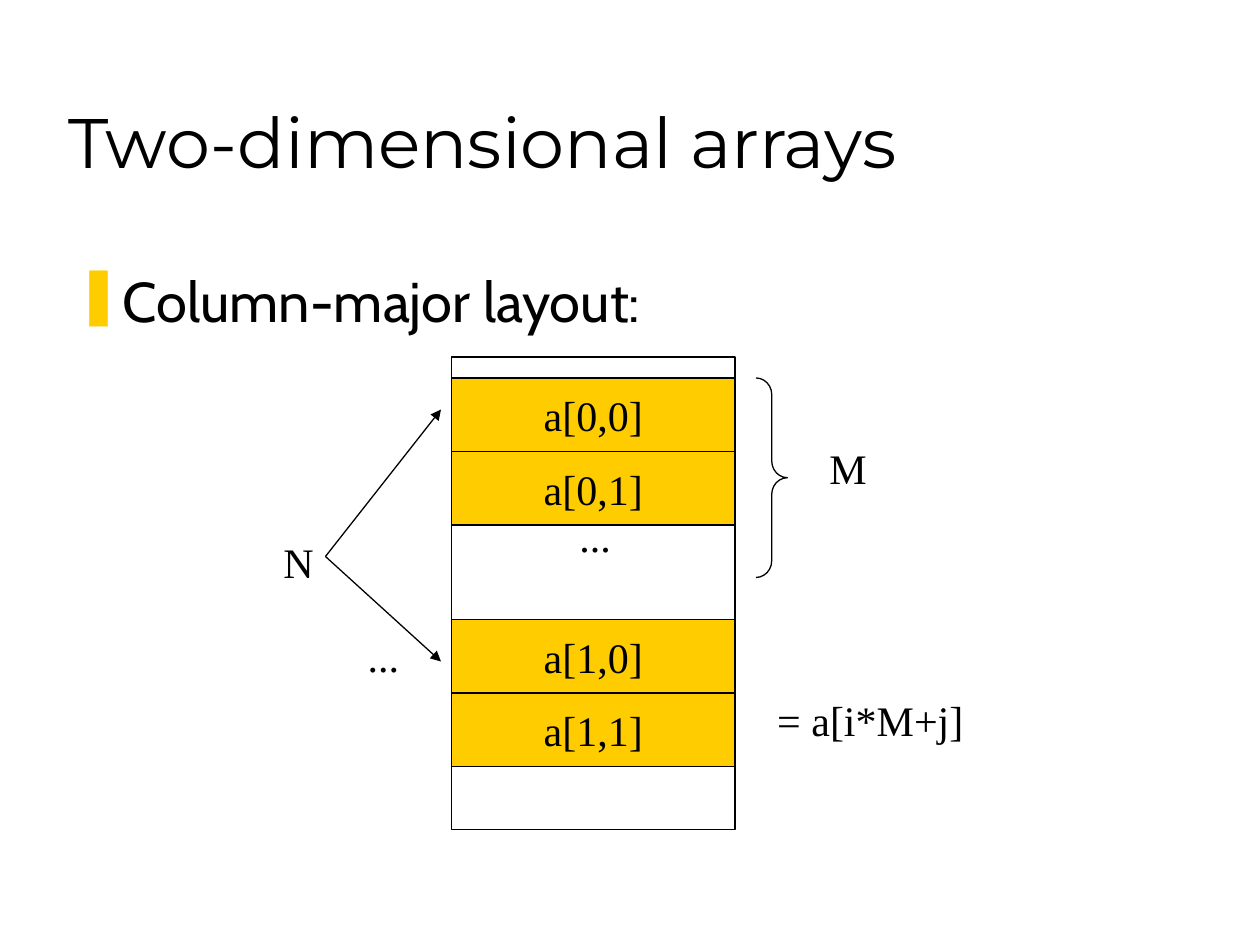
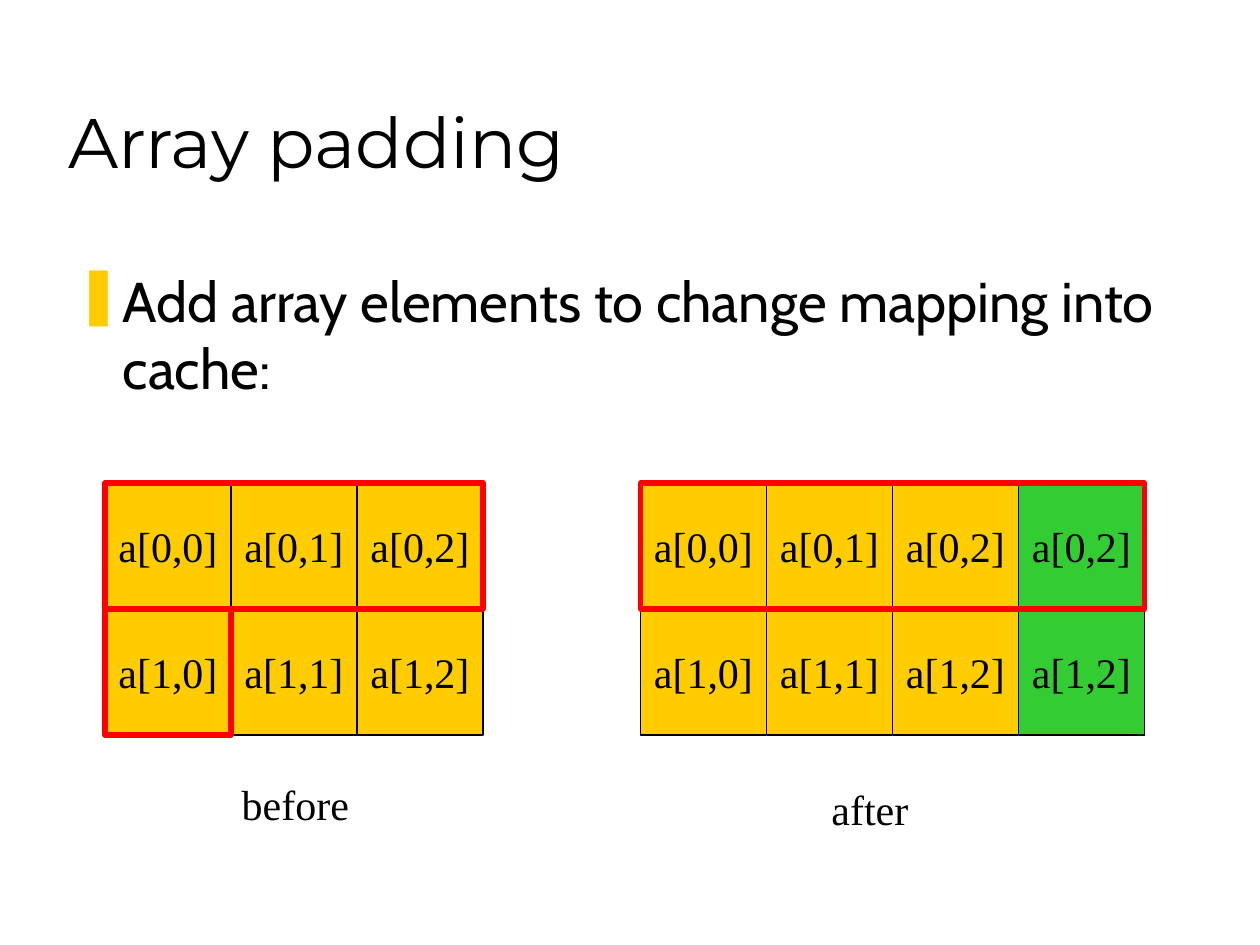
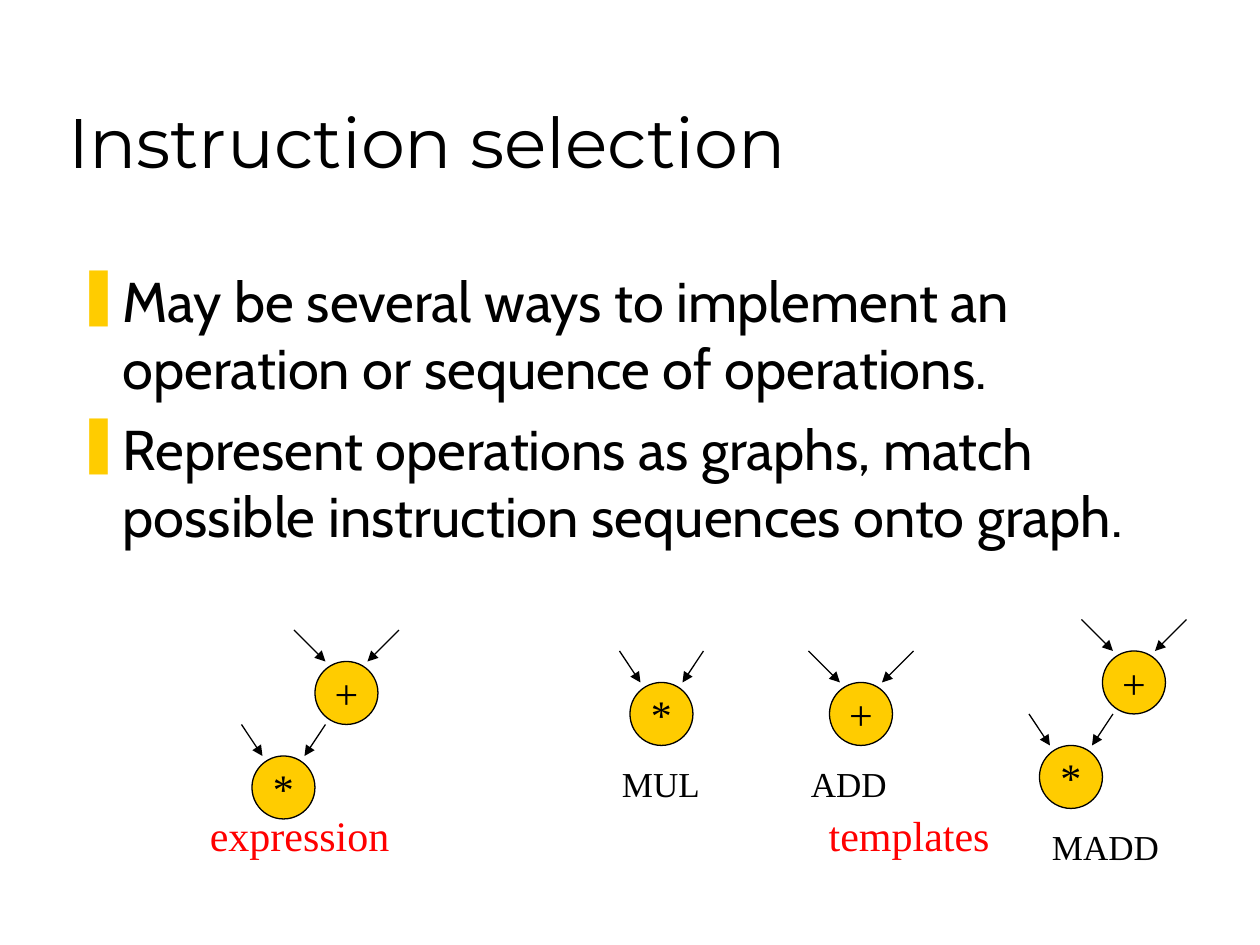
from lxml import etree
from pptx import Presentation
from pptx.dml.color import RGBColor
from pptx.enum.shapes import MSO_CONNECTOR, MSO_SHAPE
from pptx.enum.text import MSO_ANCHOR, MSO_AUTO_SIZE, PP_ALIGN
from pptx.oxml.ns import qn
from pptx.util import Inches, Pt

# Shared style; every length is in grid units of 1/12 inch (120 x 90 per slide)
UNIT = Inches(1) / 12
BLACK, RED, GOLD, GREEN = "000000", "FF0000", "FFCC00", "33CC33"
SERIF = "Times New Roman"


def add_box(s, x, y, w, h, text="", kind=None, fill=None, line=BLACK, weight=0.75,
            size=24, font=SERIF, color=BLACK):
    """Add a preset shape, or a text box when no kind is given."""
    at = [round(v * UNIT) for v in (x, y, w, h)]
    if kind is None:
        sp = s.shapes.add_textbox(*at)
        sp.text_frame.auto_size = MSO_AUTO_SIZE.SHAPE_TO_FIT_TEXT
    else:
        sp = s.shapes.add_shape(kind, *at)
        sp.shadow.inherit = False
        sp.line.color.rgb = RGBColor.from_string(line)
        sp.line.width = Pt(weight)
        if fill:
            sp.fill.solid()
            sp.fill.fore_color.rgb = RGBColor.from_string(fill)
        else:
            sp.fill.background()
    tf = sp.text_frame
    tf.word_wrap = False
    if text:
        tf.text = text
        for p in tf.paragraphs:
            if kind is not None:
                p.alignment = PP_ALIGN.CENTER
            p.font.size, p.font.name = Pt(size), font
            p.font.color.rgb = RGBColor.from_string(color)
    return sp


def add_arrow(s, x1, y1, x2, y2):
    ends = [round(v * UNIT) for v in (x1, y1, x2, y2)]
    cn = s.shapes.add_connector(MSO_CONNECTOR.STRAIGHT, *ends)
    cn.line.color.rgb = RGBColor.from_string(BLACK)
    cn.line.width = Pt(0.75)
    etree.SubElement(cn.line._get_or_add_ln(), qn("a:tailEnd"), type="triangle")
    etree.SubElement(cn._element.spPr, qn("a:effectLst"))


prs = Presentation()
prs.slide_width, prs.slide_height = Inches(10), Inches(7.5)

# Titles and bullets of all slides
contents = [
    ("Two-dimensional arrays", 10.25, ["Column-major layout:"]),
    ("Array padding", 15.25, ["Add array elements to change mapping into cache:"]),
    ("Instruction selection", 35.25, [
        "May be several ways to implement an operation or sequence of operations.",
        "Represent operations as graphs, match possible instruction sequences onto graph."]),
]
slides = []
for title, body_height, bullets in contents:
    s = prs.slides.add_slide(prs.slide_layouts[6])
    slides.append(s)
    heading = add_box(s, 5.3, 3, 102, 15, title, size=40, font="Montserrat")
    heading.text_frame.vertical_anchor = MSO_ANCHOR.BOTTOM
    body = add_box(s, 6, 24.75, 107.25, body_height, "\n".join(bullets),
                   size=32, font="Cabin")
    for sp in (heading, body):
        sp.text_frame.auto_size = MSO_AUTO_SIZE.NONE
        sp.text_frame.word_wrap = True
    for i, p in enumerate(body.text_frame.paragraphs):
        pPr = p._p.get_or_add_pPr()
        pPr.set("marL", str(Inches(0.375)))
        pPr.set("indent", str(-Inches(0.375)))
        # Bullet elements go ahead of the default run properties
        bu_color = etree.Element(qn("a:buClr"))
        etree.SubElement(bu_color, qn("a:srgbClr"), val=GOLD)
        pPr.insert(0, bu_color)
        pPr.insert(1, etree.Element(qn("a:buChar"), char="❚"))
        if i:
            p.space_before = Pt(8)

layout, padding, selection = slides

# Slide 1: memory column with its cells
for y, text in ((36, "a[0,0]"), (43, "a[0,1]"), (59, "a[1,0]"), (66, "a[1,1]")):
    add_box(layout, 43, y, 27, 7, text, MSO_SHAPE.RECTANGLE, GOLD)
add_box(layout, 43, 34, 27, 45, kind=MSO_SHAPE.RECTANGLE)

# Slide 1: brace, arrows and labels
brace = add_box(layout, 72, 36, 3, 19, kind=MSO_SHAPE.RIGHT_BRACE)
brace.adjustments[0] = 0.53
for y in (39, 63):
    add_arrow(layout, 31, 53, 42, y)
for x, y, w, text in ((72.84, 65.55, 20.16, "= a[i*M+j]"), (54, 48, 5.4, "..."),
                      (77.8, 41.55, 5.88, "M"), (33.84, 59.5, 5.4, "..."),
                      (25.8, 50.55, 5.28, "N")):
    add_box(layout, x, y, w, 6, text)

# Slide 2: the array before and after padding
CELL, TOP = 12, 46
for left, columns in ((10, 3), (61, 4)):
    for row in range(2):
        for col in range(columns):
            add_box(padding, left + col * CELL, TOP + row * CELL, CELL, CELL,
                    f"a[{row},{min(col, 2)}]", MSO_SHAPE.RECTANGLE,
                    GREEN if col == 3 else GOLD)
for x, y, w, text in ((21.84, 73.55, 12.6, "before"), (78, 74, 9.72, "after")):
    add_box(padding, x, y, w, 6, text)

# Slide 2: cache lines in red
for left, row, columns in ((10, 0, 3), (10, 1, 1), (61, 0, 4)):
    add_box(padding, left, TOP + row * CELL, columns * CELL, CELL,
            kind=MSO_SHAPE.RECTANGLE, line=RED, weight=3)

# Slide 3: operation nodes, each with two incoming arrows
nodes = [("*", 24, 72), ("+", 30, 63), ("*", 60, 65), ("+", 79, 65),
         ("*", 99, 71), ("+", 105, 62)]
for operator, x, y in nodes:
    add_box(selection, x, y, 6, 6, operator, MSO_SHAPE.OVAL, GOLD)
    reach = 2 if operator == "+" else 1
    add_arrow(selection, x - reach, y - 3, x + 1, y)
    add_arrow(selection, x + 6 + reach, y - 3, x + 5, y)

# Slide 3: captions and template names
for x, w, text in ((18.8, 20, "expression"), (77.75, 18.2, "templates")):
    add_box(selection, x, 76.55, w, 6, text, color=RED)
for x, y, w, text in ((58.05, 72, 9.84, "MUL"), (76.05, 72, 9.6, "ADD"),
                      (99, 78, 12.6, "MADD")):
    add_box(selection, x, y, w, 5.25, text, size=20)

prs.save("out.pptx")
